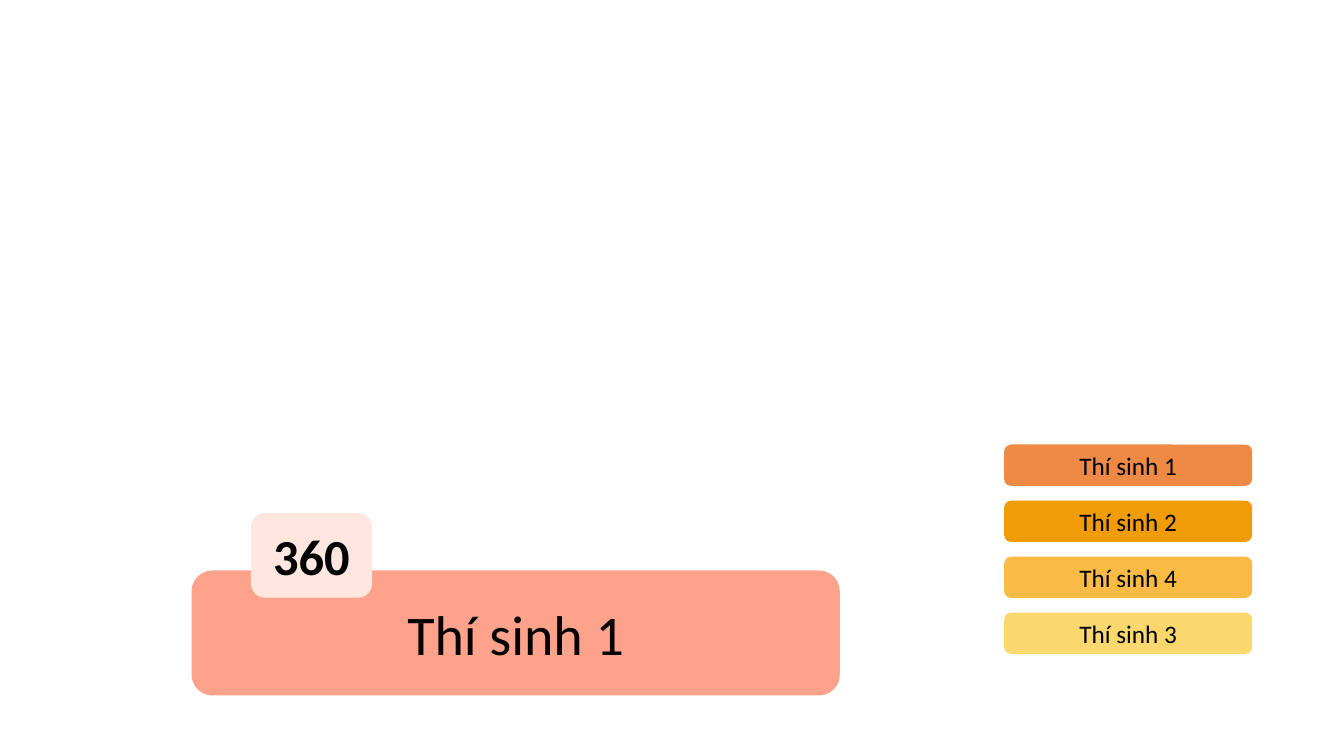
"""Build a contestant score slide with a ranking list."""
from pptx import Presentation
from pptx.dml.color import RGBColor
from pptx.enum.shapes import MSO_SHAPE
from pptx.enum.text import MSO_ANCHOR, PP_ALIGN
from pptx.util import Inches, Pt

ROUNDED = MSO_SHAPE.ROUNDED_RECTANGLE
MIDDLE = MSO_ANCHOR.MIDDLE
CENTER = PP_ALIGN.CENTER
FONT = "Calibri"
BLANK_LAYOUT = 6

CONTESTANT = ("Thí sinh 1", "FFA28C")
SCORE = ("360", "FFE6DE")
RANKING = [
    ("Thí sinh 1", "EE8A46"),
    ("Thí sinh 2", "EF9C07"),
    ("Thí sinh 4", "F9BB43"),
    ("Thí sinh 3", "FAD86D"),
]

RANK_LEFT, RANK_TOP = 9.96, 4.41
RANK_WIDTH, RANK_HEIGHT = 2.46, 0.41
RANK_PITCH = 0.556


def color(hex_string):
    return RGBColor.from_string(hex_string)


def add_plate(slide, entry, left, top, width, height, size, bold=False):
    label, fill = entry
    plate = slide.shapes.add_shape(
        ROUNDED, Inches(left), Inches(top), Inches(width), Inches(height))
    plate.shadow.inherit = False
    plate.fill.solid()
    plate.fill.fore_color.rgb = color(fill)
    plate.line.fill.background()
    plate.text_frame.vertical_anchor = MIDDLE
    paragraph = plate.text_frame.paragraphs[0]
    paragraph.alignment = CENTER
    run = paragraph.add_run()
    run.text = label
    run.font.name = FONT
    run.font.size = Pt(size)
    run.font.bold = bold
    run.font.color.rgb = color("000000")


def main():
    deck = Presentation()
    deck.slide_width, deck.slide_height = Inches(13.33), Inches(7.5)
    slide = deck.slides.add_slide(deck.slide_layouts[BLANK_LAYOUT])
    add_plate(slide, CONTESTANT, 1.9, 5.66, 6.43, 1.24, 40)
    add_plate(slide, SCORE, 2.49, 5.09, 1.2, 0.84, 36, bold=True)
    for row, entry in reversed(list(enumerate(RANKING))):
        add_plate(slide, entry, RANK_LEFT, RANK_TOP + row * RANK_PITCH,
                  RANK_WIDTH, RANK_HEIGHT, 18)
    deck.save("out.pptx")


if __name__ == "__main__":
    main()
